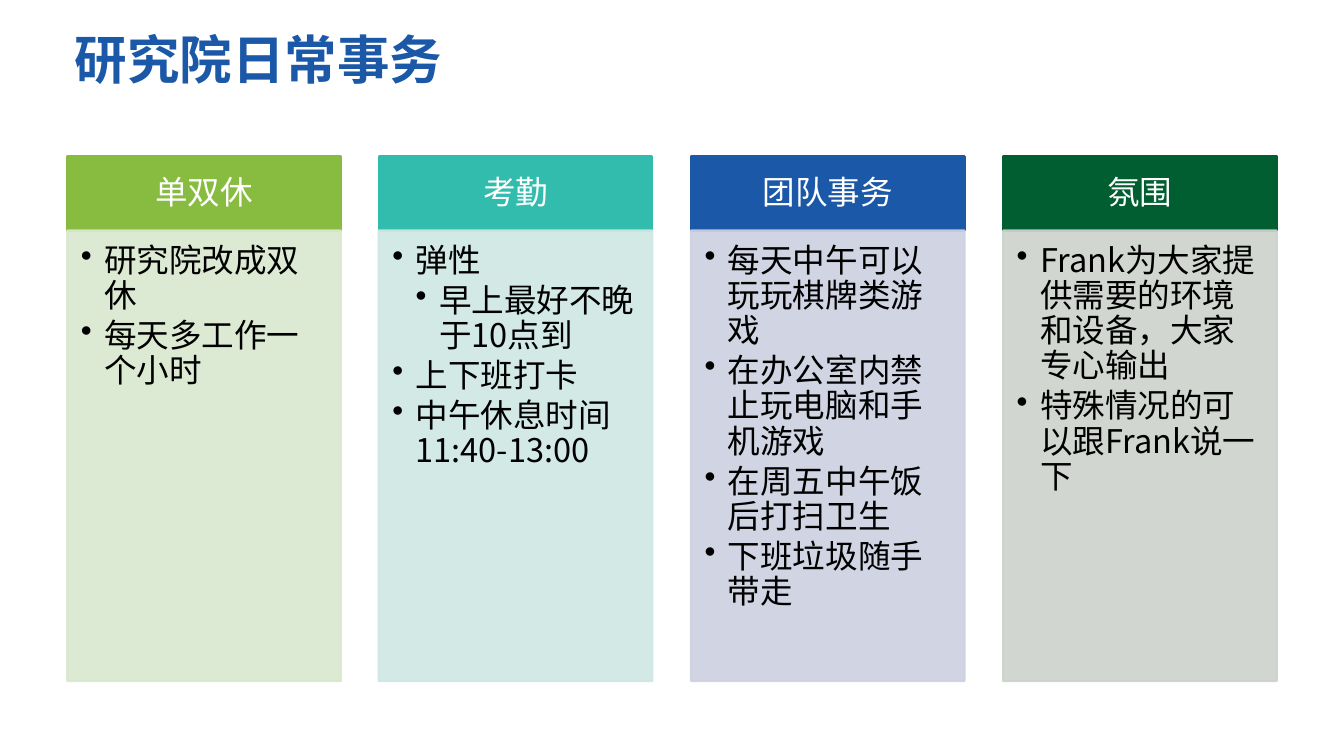
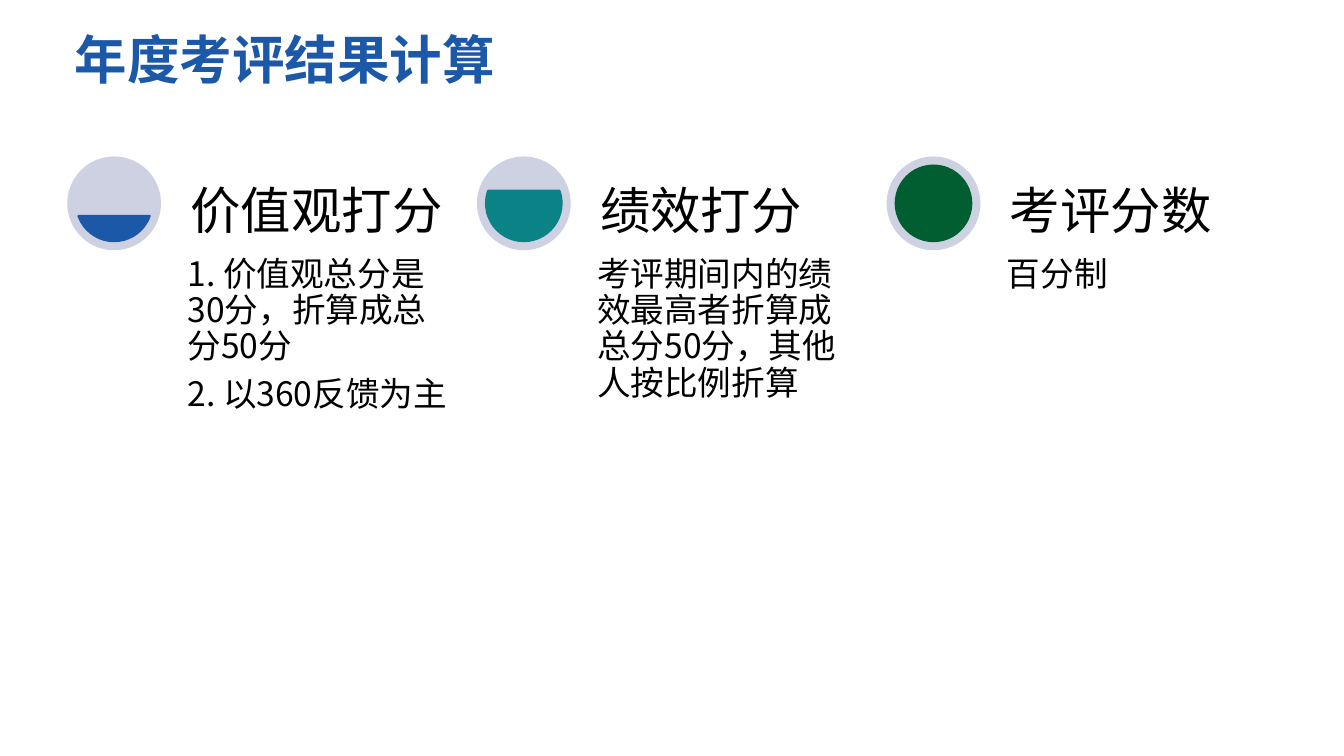
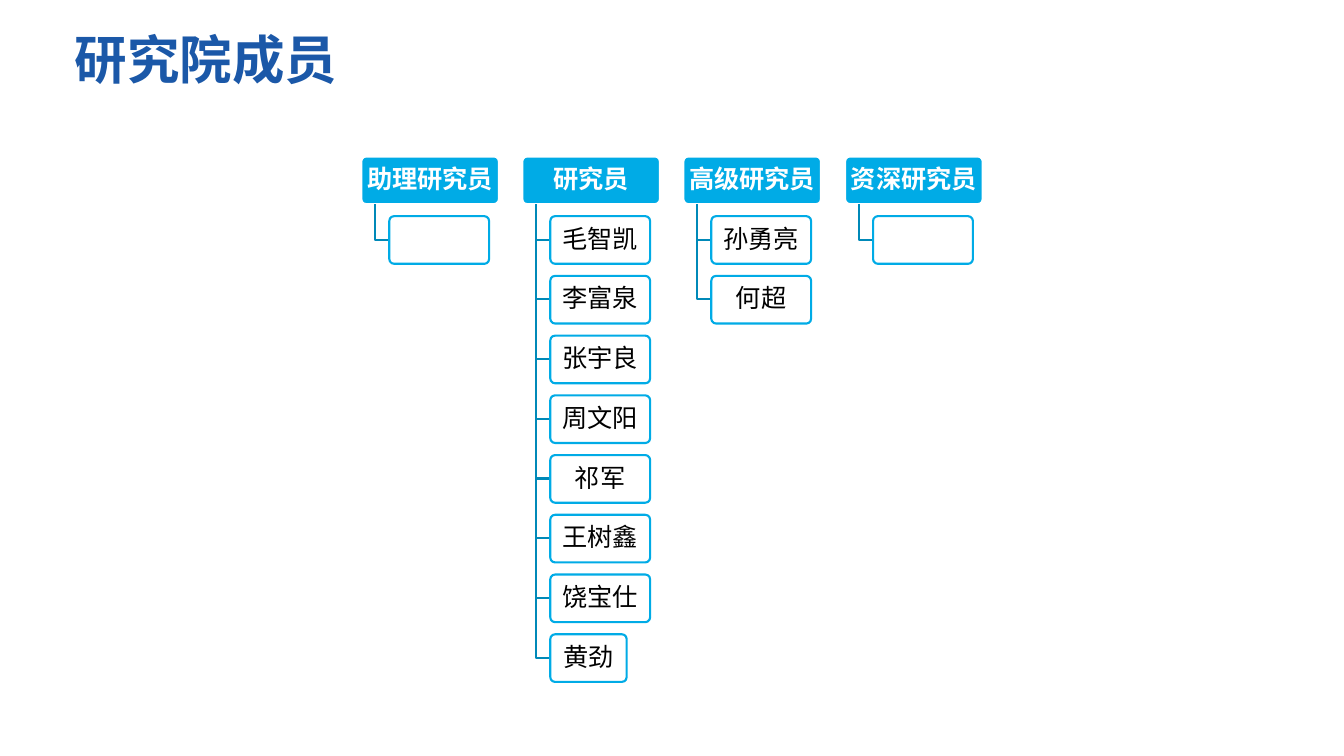
import math

import pptx
import pptx.dml.color
import pptx.enum.shapes
import pptx.enum.text
import pptx.oxml.ns
import pptx.util
from lxml import etree

RGB = pptx.dml.color.RGBColor
SHAPE = pptx.enum.shapes.MSO_SHAPE
ALIGN = pptx.enum.text.PP_ALIGN
ANCHOR = pptx.enum.text.MSO_ANCHOR
qn = pptx.oxml.ns.qn

PX = 9144
FONT = "Noto Sans CJK SC"
WHITE = RGB(0xFF, 0xFF, 0xFF)
BLACK = RGB(0x00, 0x00, 0x00)
BLUE = RGB(0x1B, 0x58, 0xA8)
LIME = RGB(0x87, 0xBC, 0x40)
MINT = RGB(0x32, 0xBC, 0xAD)
GREEN = RGB(0x00, 0x5E, 0x30)
TEAL = RGB(0x0A, 0x82, 0x86)
SKY = RGB(0x00, 0xAB, 0xE6)
WIRE = RGB(0x00, 0x89, 0xB8)
PALE_LIME = RGB(0xD9, 0xE7, 0xCF)
PALE_MINT = RGB(0xCE, 0xE7, 0xE3)
PALE_BLUE = RGB(0xCD, 0xD1, 0xE1)
PALE_GREEN = RGB(0xCC, 0xD2, 0xCD)

LEFT, TOP, WIDTH = 89, 207, 1600

RULES = [
    ("单双休", LIME, PALE_LIME, [("研究院改成双休", 1), ("每天多工作一个小时", 1)]),
    ("考勤", MINT, PALE_MINT, [
        ("弹性", 1), ("早上最好不晚于10点到", 2),
        ("上下班打卡", 1), ("中午休息时间11:40-13:00", 1)]),
    ("团队事务", BLUE, PALE_BLUE, [
        ("每天中午可以玩玩棋牌类游戏", 1), ("在办公室内禁止玩电脑和手机游戏", 1),
        ("在周五中午饭后打扫卫生", 1), ("下班垃圾随手带走", 1)]),
    ("氛围", GREEN, PALE_GREEN, [
        ("Frank为大家提供需要的环境和设备，大家专心输出", 1),
        ("特殊情况的可以跟Frank说一下", 1)]),
]
SCORES = [
    ("价值观打分", BLUE, ["1. 价值观总分是30分，折算成总分50分", "2. 以360反馈为主"]),
    ("绩效打分", TEAL, ["考评期间内的绩效最高者折算成总分50分，其他人按比例折算"]),
    ("考评分数", GREEN, ["百分制"]),
]
TEAMS = [
    ("助理研究员", [""]),
    ("研究员", ["毛智凯", "李富泉", "张宇良", "周文阳", "祁军", "王树鑫", "饶宝仕", "黄劲"]),
    ("高级研究员", ["孙勇亮", "何超"]),
    ("资深研究员", [""]),
]


def px(*sizes):
    return [size * PX for size in sizes]


def style(para, size, color, bold=False):
    font = para.font
    font.size = pptx.util.Pt(size)
    font.bold = bold
    font.color.rgb = color
    font.name = FONT
    base = para._p.pPr.find(qn("a:defRPr"))
    etree.SubElement(base, qn("a:ea"), typeface=FONT)


def bullet(para, level):
    para.level = level
    props = para._p.get_or_add_pPr()
    props.set("marL", str(31 * level * PX))
    props.set("indent", str(-31 * PX))
    etree.SubElement(props, qn("a:buChar"), char="•")


def write(shape, items, size, color, pad, anchor=ANCHOR.TOP, align=ALIGN.LEFT,
          after=0.35, bold=False):
    frame = shape.text_frame
    frame.word_wrap = True
    frame.auto_size = pptx.enum.text.MSO_AUTO_SIZE.NONE
    frame.vertical_anchor = anchor
    (frame.margin_left, frame.margin_top,
     frame.margin_right, frame.margin_bottom) = px(*pad)
    for num, (text, level) in enumerate(items):
        para = frame.add_paragraph() if num else frame.paragraphs[0]
        para.text = text
        para.alignment = align
        para.line_spacing = 0.9
        para.space_after = pptx.util.Pt(round(size * after, 1))
        if level:
            bullet(para, level)
        style(para, size, color, bold)


def block(slide, kind, box, fill, edge=None):
    shape = slide.shapes.add_shape(kind, *px(*box))
    shape.shadow.inherit = False
    shape.fill.solid()
    shape.fill.fore_color.rgb = fill
    if edge is None:
        shape.line.fill.background()
    else:
        shape.line.color.rgb = edge
        shape.line.width = pptx.util.Pt(2)
    return shape


def fade(shape, *routes):
    for route in routes:
        tint = shape._element.spPr.find("/".join(qn(tag) for tag in route.split()))
        etree.SubElement(tint, qn("a:alpha"), val="90000")


def label(slide, box, items, size, pad, anchor=ANCHOR.TOP):
    note = slide.shapes.add_textbox(*px(*box))
    write(note, [(item, 0) for item in items], size, BLACK, [pad] * 4, anchor)


def page(deck, text):
    slide = deck.slides.add_slide(deck.slide_layouts[5])
    title = slide.shapes.title
    title.left, title.top, title.width, title.height = px(LEFT, 40, WIDTH, 167)
    write(title, [(text, 0)], 50, BLUE, (10, 5, 10, 5), after=0, bold=True)
    return slide


def rule_card(slide, left, top, name, dark, pale, items):
    width, head = 362, 98
    band = block(slide, SHAPE.RECTANGLE, (left, top, width, head), dark, dark)
    write(band, [(name, 0)], 31, WHITE, (24, 14, 24, 14), ANCHOR.MIDDLE, ALIGN.CENTER)
    panel = block(slide, SHAPE.RECTANGLE, (left, top + head, width, 596), pale, pale)
    fade(panel, "a:solidFill a:srgbClr", "a:ln a:solidFill a:srgbClr")
    write(panel, items, 31, BLACK, (18, 18, 24, 27), after=0.15)


def score_card(slide, left, top, share, name, color, items):
    size, gap = 124, 12
    block(slide, SHAPE.OVAL, (left, top, size, size), PALE_BLUE)
    inner = size - 2 * gap
    level = block(slide, SHAPE.CHORD, (left + gap, top + gap, inner, inner), color, color)
    angle = math.degrees(math.asin(1 - 2 * share))
    level.adjustments[0] = round(angle % 360 * 0.6, 2)
    level.adjustments[1] = round((180 - angle) * 0.6, 2)
    label(slide, (left + 150, top + size, 366, 521), items, 32, 9)
    label(slide, (left + 150, top, 366, size), [name], 48, 13, ANCHOR.BOTTOM)


def elbow(slide, left, top, right, bottom):
    start, *rest = [px(left, top), px(left, bottom), px(right, bottom)]
    pen = slide.shapes.build_freeform(*start, scale=1.0)
    pen.add_line_segments(rest, close=False)
    wire = pen.convert_to_shape()
    wire.shadow.inherit = False
    wire.fill.background()
    wire.line.color.rgb = WIRE
    wire.line.width = pptx.util.Pt(2)


def name_box(slide, box, text, fill, edge, color, bold=False):
    shape = block(slide, SHAPE.ROUNDED_RECTANGLE, box, fill, edge)
    shape.adjustments[0] = 0.1
    if text:
        write(shape, [(text, 0)], 24, color, (4, 3, 4, 3),
              ANCHOR.MIDDLE, ALIGN.CENTER, bold=bold)
    return shape


def team(slide, left, top, name, members):
    high = 63
    name_box(slide, (left, top, 182, high), name, SKY, WHITE, WHITE, True)
    for num, member in enumerate(members):
        row = top + 79 * (num + 1)
        elbow(slide, left + 18, top + high, left + 37, row + high // 2)
        width = 101 if member == "黄劲" else 132
        box = name_box(slide, (left + 37, row, width, high), member, WHITE, SKY, BLACK)
        fade(box, "a:solidFill a:srgbClr")


def main():
    deck = pptx.Presentation()
    deck.slide_width, deck.slide_height = px(1778, 1000)

    slide = page(deck, "研究院日常事务")
    for num, rule in enumerate(RULES):
        rule_card(slide, LEFT + num * 1238 // 3, TOP, *rule)

    slide = page(deck, "年度考评结果计算")
    for num, score in enumerate(SCORES):
        score_card(slide, LEFT + num * 542, TOP, (num + 1) / len(SCORES), *score)

    slide = page(deck, "研究院成员")
    for num, group in enumerate(TEAMS):
        team(slide, 478 + num * 640 // 3, TOP, *group)

    deck.save("out.pptx")


if __name__ == "__main__":
    main()
